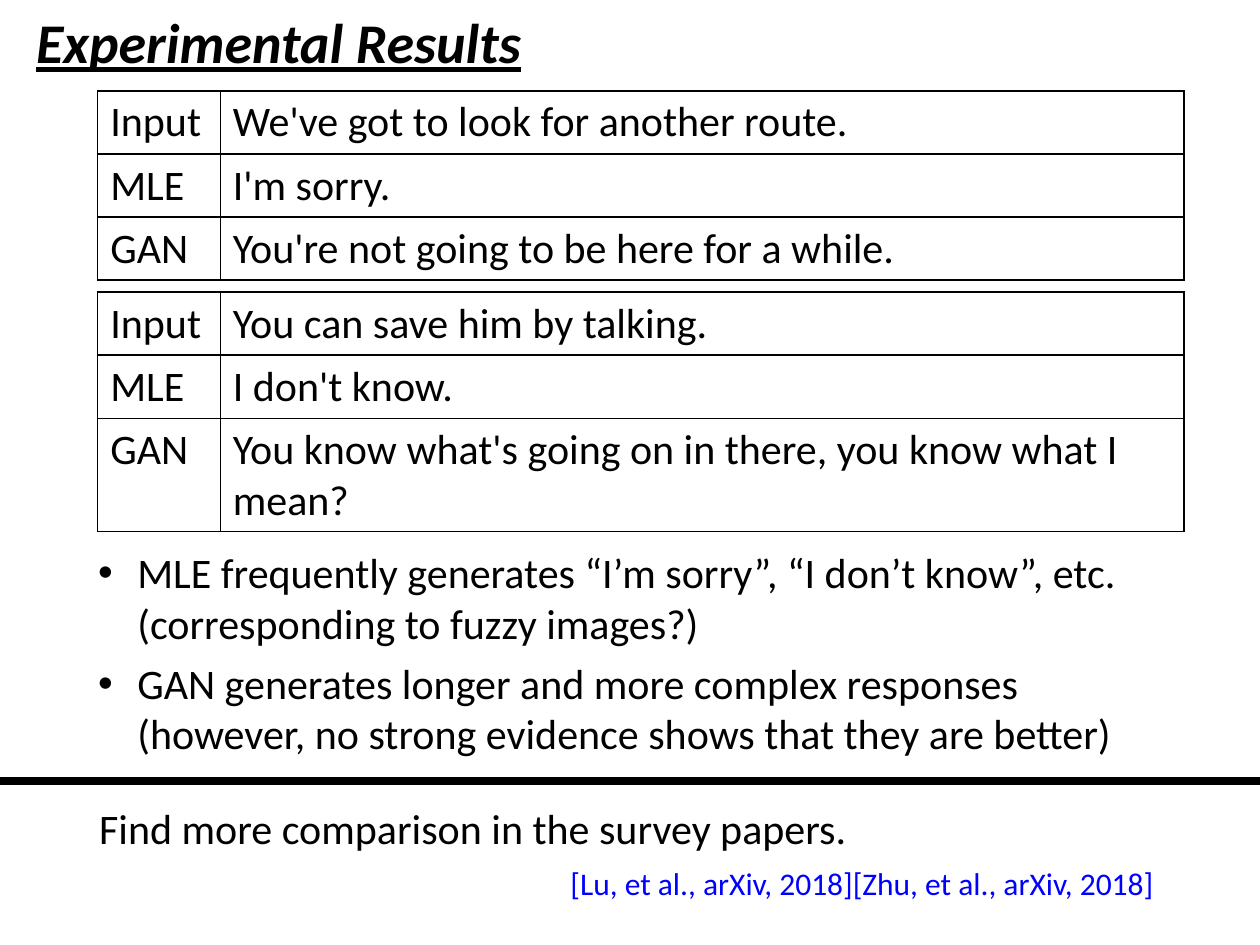
import pptx
import pptx.dml.color
import pptx.enum.shapes
import pptx.enum.text
import pptx.oxml
import pptx.oxml.ns
import pptx.util

Cm = pptx.util.Cm
Pt = pptx.util.Pt

BLACK = pptx.dml.color.RGBColor(0, 0, 0)
BLUE = pptx.dml.color.RGBColor(0, 0, 255)
FONT = "Calibri"
NAMESPACE = pptx.oxml.ns.nsdecls("a")

DIALOGUES = [
    (1.83, [
        ("Input", "We've got to look for another route."),
        ("MLE", "I'm sorry."),
        ("GAN", "You're not going to be here for a while."),
    ]),
    (5.89, [
        ("Input", "You can save him by talking."),
        ("MLE", "I don't know."),
        ("GAN", "You know what's going on in there, you know what I mean?"),
    ]),
]

FINDINGS = [
    (10.9, "MLE frequently generates “I’m sorry”, “I don’t know”, etc. "
           "(corresponding to fuzzy images?)"),
    (13.13, "GAN generates longer and more complex responses "
            "(however, no strong evidence shows that they are better)"),
]


def write_text(frame, text, size=24, color=BLACK, bold=False, italic=False,
               underline=False, bullet=False):
    para = frame.paragraphs[0]
    if bullet:
        properties = para._p.get_or_add_pPr()
        properties.set("marL", str(Cm(0.79)))
        properties.set("indent", str(-Cm(0.79)))
        properties.append(pptx.oxml.parse_xml(f'<a:buFont {NAMESPACE} typeface="Arial"/>'))
        properties.append(pptx.oxml.parse_xml(f'<a:buChar {NAMESPACE} char="•"/>'))
    span = para.add_run()
    span.text = text
    font = span.font
    font.name = FONT
    font.size = Pt(size)
    font.color.rgb = color
    font.bold = bold
    font.italic = italic
    font.underline = underline


def add_text(page, left, top, width, height, text, wrap=True, **text_format):
    box = page.shapes.add_textbox(Cm(left), Cm(top), Cm(width), Cm(height))
    box.text_frame.word_wrap = wrap
    box.text_frame.auto_size = pptx.enum.text.MSO_AUTO_SIZE.SHAPE_TO_FIT_TEXT
    write_text(box.text_frame, text, **text_format)


def add_borders(cell):
    properties = cell._tc.get_or_add_tcPr()
    for side in ("lnL", "lnR", "lnT", "lnB"):
        properties.append(pptx.oxml.parse_xml(
            f'<a:{side} {NAMESPACE} w="{Pt(1)}"><a:solidFill>'
            f'<a:srgbClr val="{BLACK}"/></a:solidFill></a:{side}>'))


def add_dialogue(page, top, rows):
    row_height = Cm(1.27)
    table = page.shapes.add_table(len(rows), 2, Cm(1.97), Cm(top),
                                  Cm(21.9), row_height * len(rows)).table
    table.first_row = False
    table.horz_banding = False
    table.columns[0].width = Cm(2.47)
    table.columns[1].width = Cm(19.43)
    for row_index, texts in enumerate(rows):
        table.rows[row_index].height = row_height
        for column_index, text in enumerate(texts):
            cell = table.cell(row_index, column_index)
            add_borders(cell)
            cell.fill.background()
            write_text(cell.text_frame, text)


def add_divider(page, left, right, top):
    line = page.shapes.add_connector(pptx.enum.shapes.MSO_CONNECTOR.STRAIGHT,
                                     Cm(left), Cm(top), Cm(right), Cm(top))
    line.line.color.rgb = BLACK
    line.line.width = Pt(4.5)
    line._element.spPr.append(pptx.oxml.parse_xml(f"<a:effectLst {NAMESPACE}/>"))


def main():
    deck = pptx.Presentation()
    deck.slide_width = Cm(25.4)
    deck.slide_height = Cm(19.05)
    page = deck.slides.add_slide(deck.slide_layouts[6])

    add_text(page, 0.48, 0.03, 11.18, 1.62, "Experimental Results",
             size=32, bold=True, italic=True, underline=True)
    for top, rows in DIALOGUES:
        add_dialogue(page, top, rows)
    for top, finding in FINDINGS:
        add_text(page, 1.73, top, 22.38, 2.31, finding, bullet=True)
    add_divider(page, -0.66, 26.06, 15.75)
    add_text(page, 1.75, 16.05, 16.61, 1.27,
             "Find more comparison in the survey papers.")
    add_text(page, 11.25, 17.3, 12.42, 1.02,
             "[Lu, et al., arXiv, 2018][Zhu, et al., arXiv, 2018]",
             wrap=False, size=18, color=BLUE)
    deck.save("out.pptx")


if __name__ == "__main__":
    main()
